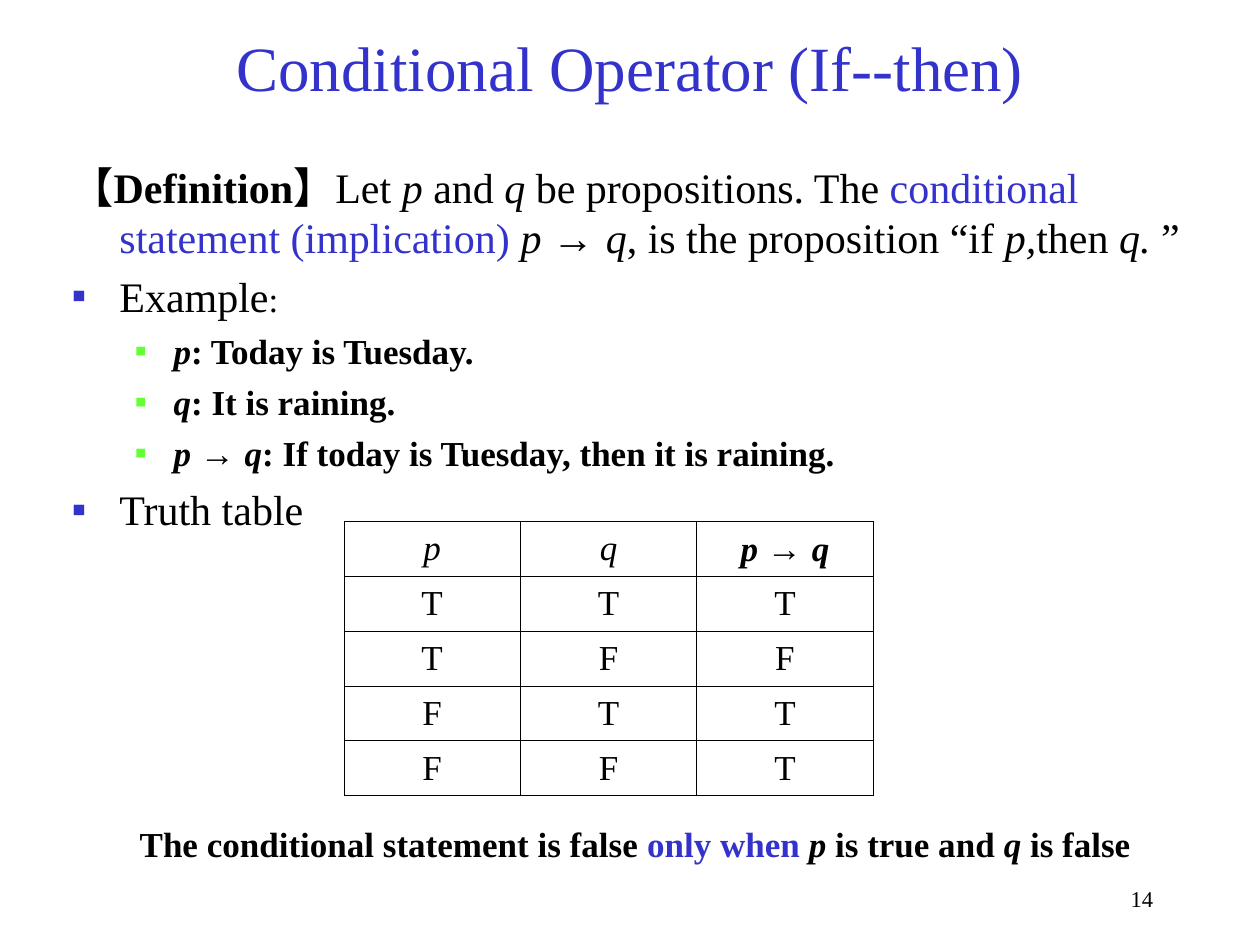
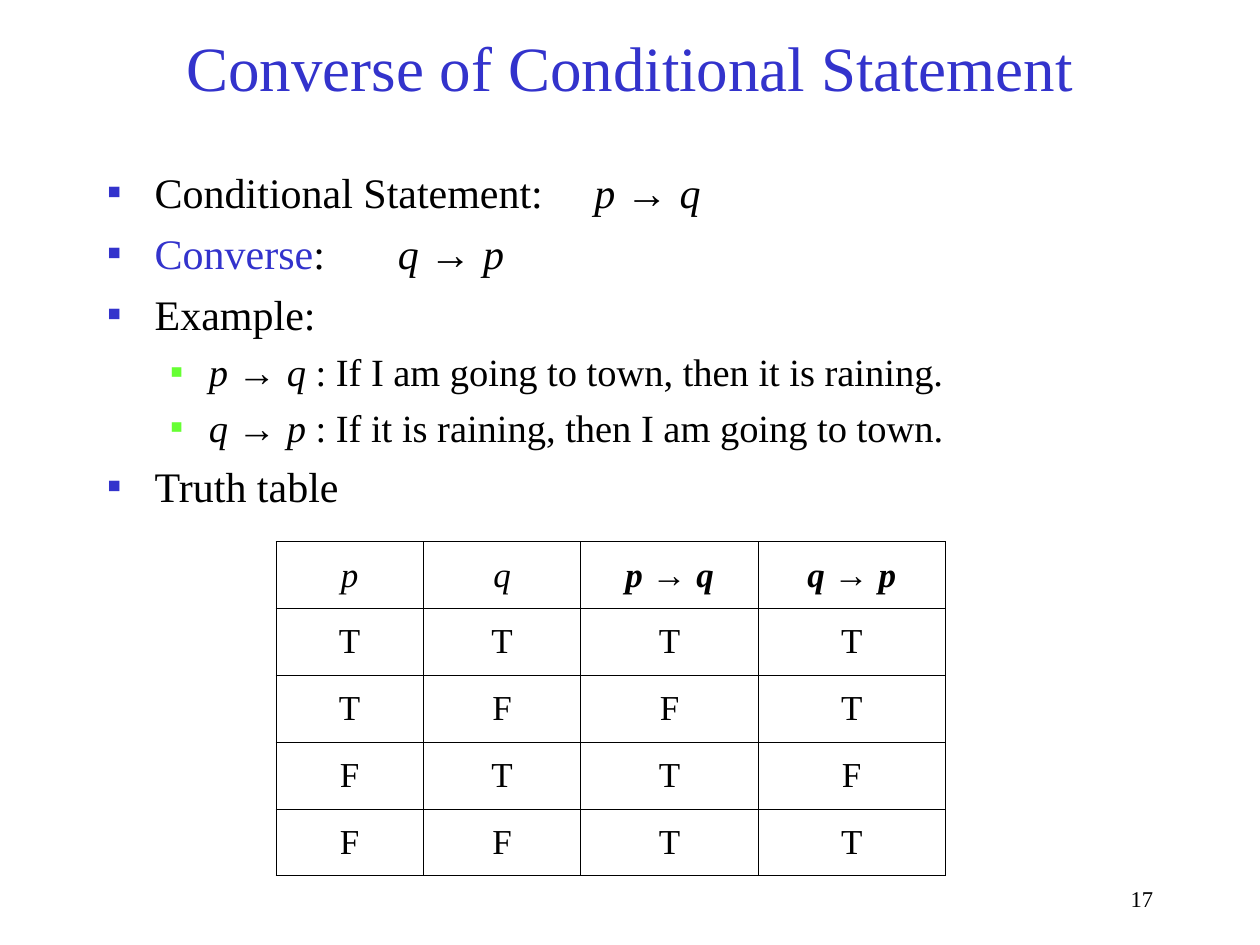
from dataclasses import dataclass, replace

from lxml import etree
from pptx import Presentation
from pptx import util as u
from pptx.dml.color import RGBColor
from pptx.enum import text
from pptx.oxml import ns

BLUE = RGBColor(0x33, 0x33, 0xCC)
GREEN = RGBColor(0x66, 0xFF, 0x33)
BLACK = RGBColor(0, 0, 0)
WHITE = RGBColor(0xFF, 0xFF, 0xFF)
SERIF = "Times New Roman"
SANS = "Arial"
TABLE_SIZE = 20


@dataclass(frozen=True)
class Run:
    words: str
    italic: bool = False
    bold: bool = False
    color: RGBColor = BLACK
    font: str = SERIF
    size: float | None = None


@dataclass(frozen=True)
class Item:
    runs: list[Run]
    size: float = 24
    before: float = 6
    level: int = 0
    bullet: bool = True
    centered: bool = False
    tab: float | None = None


@dataclass(frozen=True)
class TruthTable:
    left: float
    top: float
    widths: list[float]
    row_height: float
    heads: list[list[Run]]
    rows: list[str]


@dataclass(frozen=True)
class Lesson:
    title: str
    number: str
    body_box: tuple[float, float, float, float]
    items: list[Item]
    table: TruthTable


def var(name: str, bold: bool = False) -> Run:
    return Run(name, italic=True, bold=bold)


def implies(premise: str, result: str, bold: bool = False,
            bold_arrow: bool = False) -> list[Run]:
    return [var(f"{premise} ", bold),
            Run("→ ", bold=bold or bold_arrow, font=SANS),
            var(result, bold)]


def add_runs(paragraph, runs: list[Run], size: float) -> None:
    for part in runs:
        run = paragraph.add_run()
        run.text = part.words
        font = run.font
        font.name = part.font
        font.size = u.Pt(part.size or size)
        font.bold = part.bold
        font.italic = part.italic
        font.color.rgb = part.color


def add_child(parent, tag: str, **attributes: str):
    return etree.SubElement(parent, ns.qn(f"a:{tag}"), attributes)


def format_item(paragraph, item: Item) -> None:
    properties = paragraph._p.get_or_add_pPr()
    margin, hang = [(0.38, 0.38), (0.81, 0.31)][item.level]
    properties.set("marL", str(u.Inches(margin)))
    properties.set("indent", str(-u.Inches(hang)))
    if item.bullet:
        color = add_child(properties, "buClr")
        add_child(color, "srgbClr", val=str([BLUE, GREEN][item.level]))
        add_child(properties, "buFont", typeface=SERIF)
        add_child(properties, "buChar", char="▪")
    else:
        add_child(properties, "buNone")
    if item.tab:
        stops = add_child(properties, "tabLst")
        add_child(stops, "tab", pos=str(u.Inches(item.tab)), algn="l")
    paragraph.level = item.level
    if item.centered:
        paragraph.alignment = text.PP_ALIGN.CENTER


def add_text_frame(slide, box: tuple[float, float, float, float]):
    frame = slide.shapes.add_textbox(*map(u.Inches, box)).text_frame
    frame.word_wrap = True
    return frame


def add_title(slide, words: str) -> None:
    title = slide.shapes.title
    title.left, title.top = u.Inches(0.75), u.Inches(0.13)
    title.width, title.height = u.Inches(8.5), u.Inches(0.79)
    frame = title.text_frame
    frame.vertical_anchor = text.MSO_ANCHOR.MIDDLE
    paragraph = frame.paragraphs[0]
    paragraph.alignment = text.PP_ALIGN.CENTER
    add_runs(paragraph, [Run(words, color=BLUE)], 36)


def add_body(slide, lesson: Lesson) -> None:
    frame = add_text_frame(slide, lesson.body_box)
    for index, item in enumerate(lesson.items):
        paragraph = frame.add_paragraph() if index else frame.paragraphs[0]
        format_item(paragraph, item)
        if index:
            paragraph.space_before = u.Pt(item.before)
        add_runs(paragraph, item.runs, item.size)


def add_page_number(slide, number: str) -> None:
    paragraph = add_text_frame(slide, (7.67, 7, 1.58, 0.33)).paragraphs[0]
    paragraph.alignment = text.PP_ALIGN.RIGHT
    paragraph.line_spacing = 0.9
    add_runs(paragraph, [Run(number)], 12.9)


def add_borders(cell) -> None:
    properties = cell._tc.get_or_add_tcPr()
    for position, side in enumerate(("lnL", "lnR", "lnT", "lnB")):
        line = etree.Element(ns.qn(f"a:{side}"), w=str(u.Pt(0.45)))
        fill = add_child(line, "solidFill")
        add_child(fill, "srgbClr", val=str(BLACK))
        properties.insert(position, line)


def add_truth_table(slide, truth: TruthTable) -> None:
    grid = truth.heads, *([[Run(value)] for value in row] for row in truth.rows)
    table = slide.shapes.add_table(
        len(grid), len(truth.widths), u.Inches(truth.left), u.Inches(truth.top),
        u.Inches(sum(truth.widths)), u.Inches(truth.row_height * len(grid))).table
    table.first_row = table.horz_banding = False
    for column, width in zip(table.columns, truth.widths):
        column.width = u.Inches(width)
    for row_index, row in enumerate(grid):
        table.rows[row_index].height = u.Inches(truth.row_height)
        for column_index, runs in enumerate(row):
            cell = table.cell(row_index, column_index)
            cell.fill.solid()
            cell.fill.fore_color.rgb = WHITE
            cell.vertical_anchor = text.MSO_ANCHOR.MIDDLE
            add_borders(cell)
            paragraph = cell.text_frame.paragraphs[0]
            paragraph.alignment = text.PP_ALIGN.CENTER
            add_runs(paragraph, runs, TABLE_SIZE)


def add_lesson(deck, lesson: Lesson) -> None:
    slide = deck.slides.add_slide(deck.slide_layouts.get_by_name("Title Only"))
    add_title(slide, lesson.title)
    add_body(slide, lesson)
    add_truth_table(slide, lesson.table)
    add_page_number(slide, lesson.number)


TRUTH_ITEM = Item([Run("Truth table")])
BOLD = Run("", bold=True)

CONDITIONAL = Lesson(
    "Conditional Operator (If--then)", "14", (0.47, 1.23, 9.14, 6.27),
    [
        Item([Run("【Definition】", bold=True), Run("Let "), var("p "), Run("and"),
              var(" q "), Run("be propositions. The "),
              Run("conditional statement (implication) ", color=BLUE),
              *implies("p", "q", bold_arrow=True),
              Run(", is the proposition “if "), var("p,"), Run("then "),
              var("q. "), Run("”")], bullet=False),
        Item([Run("Example"), Run(":", size=20)], before=5),
        Item([var("p", True), replace(BOLD, words=": Today is Tuesday.")],
             size=20, before=5, level=1),
        Item([var("q", True), replace(BOLD, words=": It is raining.")],
             size=20, before=5, level=1),
        Item([*implies("p", "q", bold=True),
              replace(BOLD, words=": If today is Tuesday, then it is raining.")],
             size=20, before=5, level=1),
        TRUTH_ITEM,
        Item([replace(BOLD, words="The conditional statement is false "),
              replace(BOLD, words="only when ", color=BLUE), var("p", True),
              replace(BOLD, words=" is true and "), var("q", True),
              replace(BOLD, words=" is false")],
             size=20, before=165, bullet=False, centered=True),
    ],
    TruthTable(2.73, 4.14, [1.4] * 3, 0.435,
               [[var("p")], [var("q")], implies("p", "q", bold=True)],
               ["TTT", "TFF", "FTT", "FFT"]))

CONVERSE = Lesson(
    "Converse of Conditional Statement", "17", (0.75, 1.27, 8.5, 5.6),
    [
        Item([Run("Conditional Statement:\t"), *implies("p", "q")], tab=3.87),
        Item([Run("Converse", color=BLUE), Run(":\t"), *implies("q", "p")],
             tab=2.31),
        Item([Run("Example:")]),
        Item([*implies("p", "q"),
              Run(" : If I am going to town, then it is raining.")],
             size=22, before=5.5, level=1),
        Item([*implies("q", "p"),
              Run(" : If it is raining, then I am going to town.")],
             size=22, before=5.5, level=1),
        TRUTH_ITEM,
    ],
    TruthTable(2.19, 4.3, [1.17, 1.25, 1.41, 1.48], 0.53,
               [[var("p")], [var("q")], implies("p", "q", bold=True),
                implies("q", "p", bold=True)],
               ["TTTT", "TFFT", "FTTF", "FFTT"]))


def main() -> None:
    deck = Presentation()
    deck.slide_width, deck.slide_height = u.Inches(10), u.Inches(7.5)
    for lesson in (CONDITIONAL, CONVERSE):
        add_lesson(deck, lesson)
    deck.save("out.pptx")


if __name__ == "__main__":
    main()
